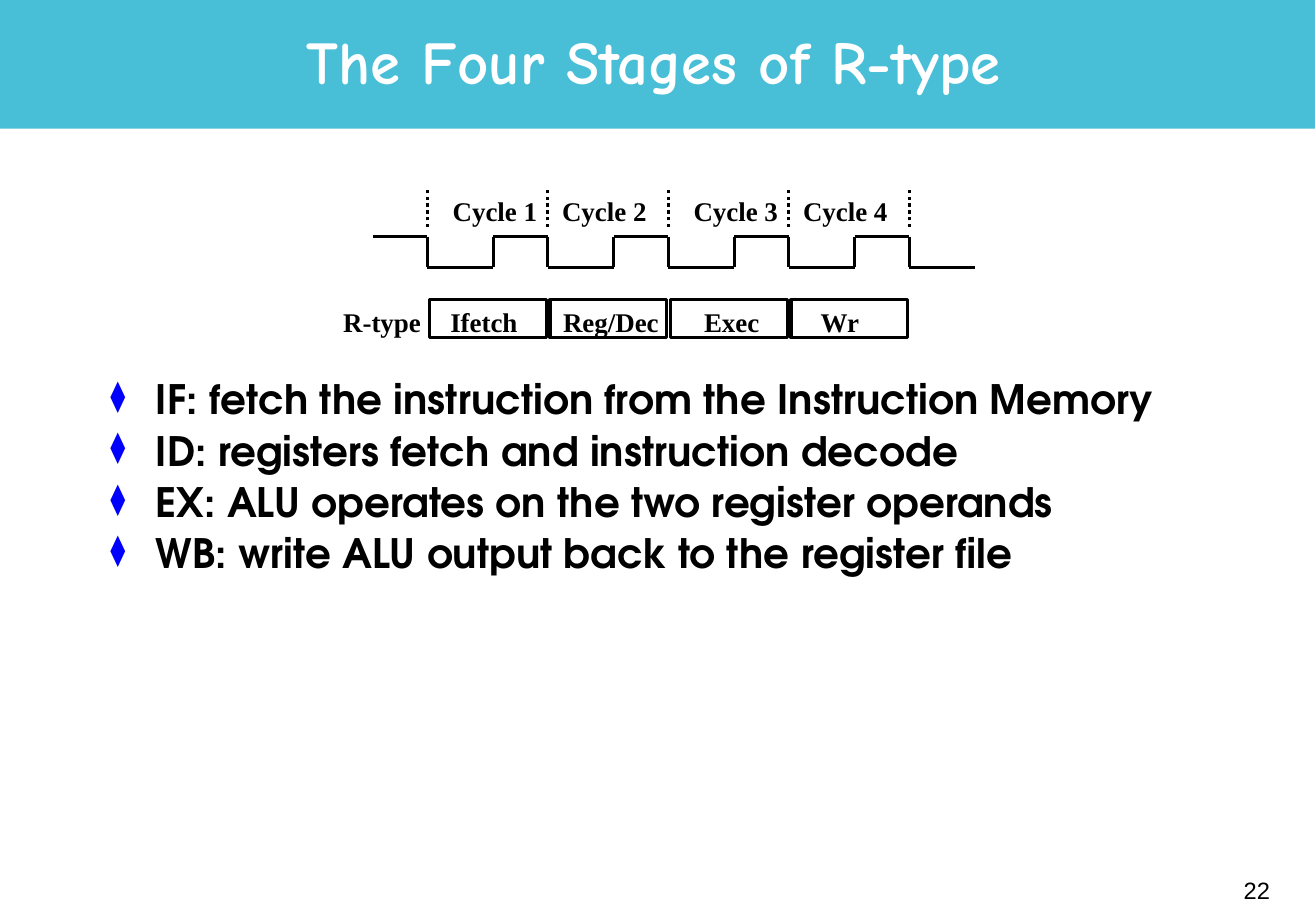
"""Build the slide on the four pipeline stages of an R-type instruction."""
from lxml import etree
from pptx import Presentation
from pptx import util as u
from pptx.dml.color import RGBColor
from pptx.enum import dml, shapes, text
from pptx.oxml.ns import qn

TITLE = "The Four Stages of R-type"
ROW_LABEL = "R-type"
PAGE = "22"
# cycle, offset in the cycle, stage, offset in the cycle, stage label width
CYCLES = [
    ("Cycle 1", 0.28, "Ifetch", 0.23, 1.93),
    ("Cycle 2", 0.05, "Reg/Dec", 0.07, 2.51),
    ("Cycle 3", 0.28, "Exec", 0.5, 1.68),
    ("Cycle 4", 0.05, "Wr", 0.42, 1.32),
]
STEPS = [
    "IF: fetch the instruction from the Instruction Memory",
    "ID: registers fetch and instruction decode",
    "EX: ALU operates on the two register operands",
    "WB: write ALU output back to the register file",
]
BLACK, WHITE, BLUE, BANNER = "000000", "FFFFFF", "0000FF", "49BFD7"
SERIF = "Times New Roman"
CLOCK_LEFT, CYCLE_WIDTH, LOW_WIDTH, LEAD_IN = 8.94, 2.52, 1.38, 1.14
HIGH, LOW = 4.95, 5.59
MARK_TOP, MARK_BOTTOM = 3.91, 4.75
CYCLE_TOP, STAGE_TOP, LABEL_HEIGHT = 3.94, 6.27, 0.94


def color(target, value):
    target.rgb = RGBColor.from_string(value)


def add_rect(left, top, width, height, fill=None):
    rect = slide.shapes.add_shape(
        shapes.MSO_SHAPE.RECTANGLE, u.Cm(left), u.Cm(top), u.Cm(width), u.Cm(height))
    rect.shadow.inherit = False
    if fill:
        rect.fill.solid()
        color(rect.fill.fore_color, fill)
        rect.line.fill.background()
    else:
        rect.fill.background()
        color(rect.line.color, BLACK)
        rect.line.width = u.Pt(2)


def add_line(x1, y1, x2, y2, dotted=False):
    line = slide.shapes.add_connector(
        shapes.MSO_CONNECTOR.STRAIGHT, u.Cm(x1), u.Cm(y1), u.Cm(x2), u.Cm(y2))
    color(line.line.color, BLACK)
    line.line.width = u.Pt(2)
    if dotted:
        line.line.dash_style = dml.MSO_LINE.ROUND_DOT
    etree.SubElement(line._element.spPr, qn("a:effectLst"))


def add_text(lines, left, top, width, height, size, font=SERIF, ink=BLACK,
             bold=True, align=text.PP_ALIGN.LEFT, middle=False, wrap=False,
             bullet=None, spacing=None):
    box = slide.shapes.add_textbox(u.Cm(left), u.Cm(top), u.Cm(width), u.Cm(height))
    frame = box.text_frame
    frame.text = "\n".join(lines)
    frame.word_wrap = wrap
    frame.vertical_anchor = text.MSO_ANCHOR.MIDDLE if middle else text.MSO_ANCHOR.TOP
    for index, paragraph in enumerate(frame.paragraphs):
        paragraph.alignment = align
        if spacing:
            paragraph.line_spacing = spacing
        if bullet:
            if index:
                paragraph.space_before = u.Pt(4.5)
            add_bullet(paragraph, bullet)
        for run in paragraph.runs:
            run.font.name, run.font.size, run.font.bold = font, u.Pt(size), bold
            color(run.font.color, ink)


def add_bullet(paragraph, symbol):
    props = paragraph._p.get_or_add_pPr()
    indent = u.Cm(0.95)
    props.set("marL", str(indent))
    props.set("indent", str(-indent))
    shade = etree.SubElement(props, qn("a:buClr"))
    etree.SubElement(shade, qn("a:srgbClr"), val=BLUE)
    etree.SubElement(props, qn("a:buSzPct"), val="75000")
    etree.SubElement(props, qn("a:buChar"), char=symbol)


deck = Presentation()
deck.slide_width, deck.slide_height = u.Cm(27.53), u.Cm(19.05)
slide = deck.slides.add_slide(deck.slide_layouts[6])

add_rect(0, 0, 27.51, 2.69, BANNER)
add_text([TITLE], 1.98, 0.13, 23.39, 2.51, 36, "Comic Neue", WHITE,
         align=text.PP_ALIGN.CENTER, middle=True, wrap=True, spacing=0.85)

add_line(CLOCK_LEFT - LEAD_IN, HIGH, CLOCK_LEFT, HIGH)
for edge in range(len(CYCLES) + 1):
    fall = CLOCK_LEFT + edge * CYCLE_WIDTH
    rise = fall + LOW_WIDTH
    add_line(fall, MARK_BOTTOM, fall, MARK_TOP, dotted=True)
    add_line(fall, HIGH, fall, LOW)
    add_line(fall, LOW, rise, LOW)
    if edge < len(CYCLES):
        add_line(rise, LOW, rise, HIGH)
        add_line(rise, HIGH, fall + CYCLE_WIDTH, HIGH)

add_text([ROW_LABEL], 6.93, STAGE_TOP, 2.13, LABEL_HEIGHT, 16)
for number, (cycle, cycle_shift, stage, stage_shift, stage_width) in enumerate(CYCLES):
    start = CLOCK_LEFT + number * CYCLE_WIDTH
    add_text([cycle], start + cycle_shift, CYCLE_TOP, 2.29, LABEL_HEIGHT, 16)
    add_rect(start + 0.05, STAGE_TOP, 2.44, 0.79)
    add_text([stage], start + stage_shift, STAGE_TOP, stage_width, LABEL_HEIGHT, 16)

add_text(STEPS, 2.06, 7.82, 23.39, 9.73, 24, "TeX Gyre Adventor",
         wrap=True, bullet="⧫", spacing=0.9)
add_text([PAGE], 21.08, 17.98, 5.74, 1.27, 14, "Arial", bold=False,
         align=text.PP_ALIGN.RIGHT, middle=True)

deck.save("out.pptx")
